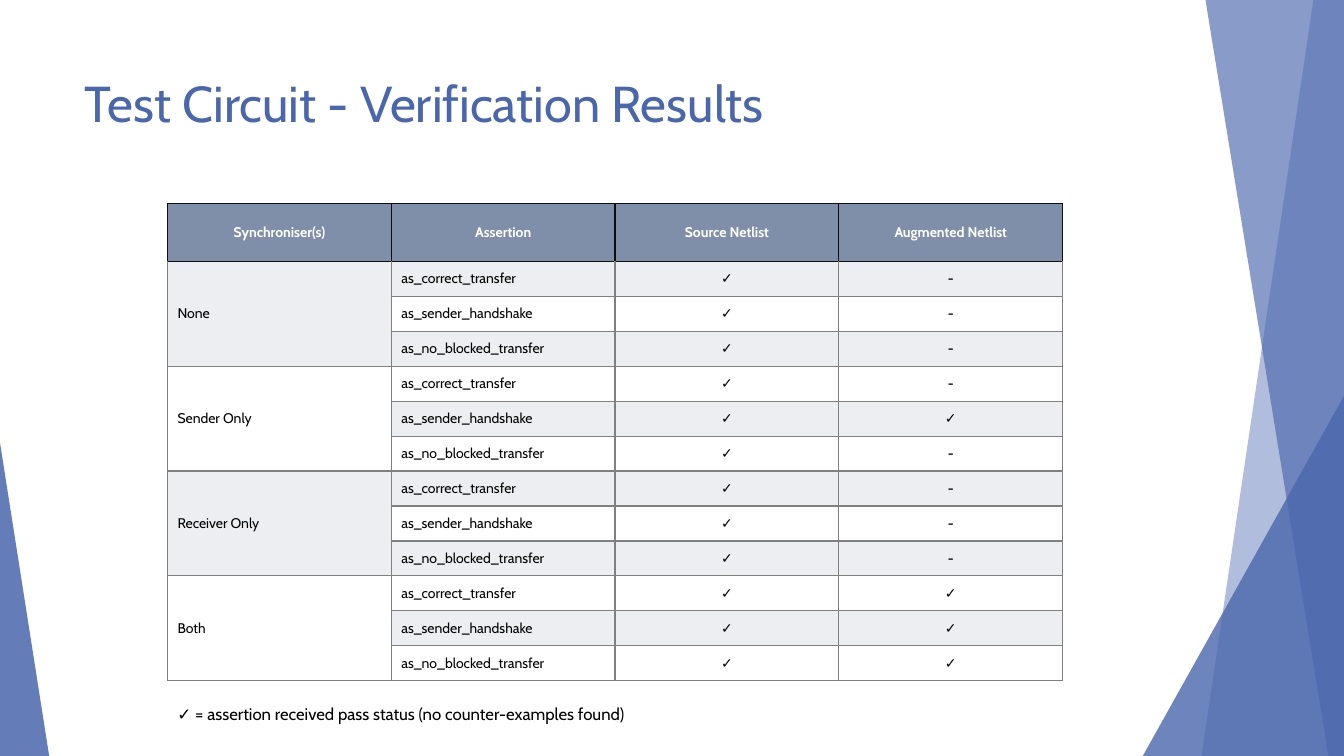
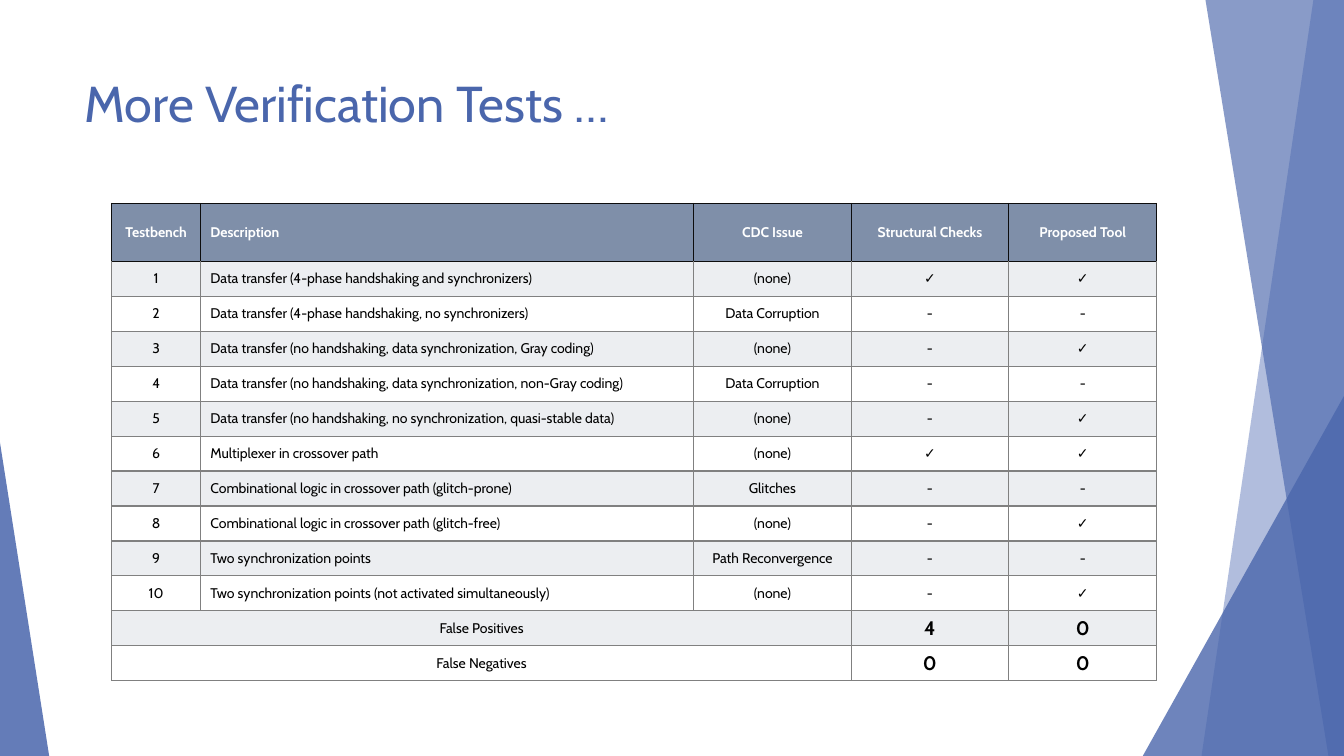
from dataclasses import dataclass

from lxml import etree
from pptx import Presentation
from pptx.dml.color import RGBColor
from pptx.enum.shapes import MSO_SHAPE
from pptx.enum.text import MSO_ANCHOR, PP_ALIGN
from pptx.oxml.ns import qn
from pptx.util import Cm, Pt

TRIANGLE = MSO_SHAPE.ISOSCELES_TRIANGLE
LEFT, CENTER = PP_ALIGN.LEFT, PP_ALIGN.CENTER
MIDDLE, TOP = MSO_ANCHOR.MIDDLE, MSO_ANCHOR.TOP


@dataclass(frozen=True)
class Theme:
    font: str = "Cabin"
    accent: str = "4A66AC"
    accent_light: str = "90A2CF"
    header: str = "7F8FA9"
    header_line: str = "0D0D0D"
    grid_line: str = "808080"
    band: str = "ECEEF1"
    white: str = "FFFFFF"
    ink: str = "000000"
    title_size: int = 36
    total_size: int = 14
    note_size: int = 12
    cell_size: int = 10


@dataclass(frozen=True)
class Box:
    left: float
    top: float
    width: float
    height: float

    def lengths(self):
        return Cm(self.left), Cm(self.top), Cm(self.width), Cm(self.height)


THEME = Theme()
PAGE = Box(0, 0, 33.87, 19.05)
TITLE_BOX = Box(1.88, 1.7, 27.25, 3.66)
TABLE_TOP, HEADER_HEIGHT, ROW_HEIGHT = 5.13, 1.46, 0.88
PASS, FAIL = "✓", "-"

ASSERTIONS = ("as_correct_transfer", "as_sender_handshake", "as_no_blocked_transfer")
# Marks of the augmented netlist, one for each assertion
SYNCHRONISERS = {
    "None": (FAIL, FAIL, FAIL),
    "Sender Only": (FAIL, PASS, FAIL),
    "Receiver Only": (FAIL, FAIL, FAIL),
    "Both": (PASS, PASS, PASS),
}
# Description, issue, structural checks, proposed tool
TESTBENCHES = [
    ("Data transfer (4-phase handshaking and synchronizers)", "(none)", PASS, PASS),
    ("Data transfer (4-phase handshaking, no synchronizers)", "Data Corruption", FAIL, FAIL),
    ("Data transfer (no handshaking, data synchronization, Gray coding)", "(none)", FAIL, PASS),
    ("Data transfer (no handshaking, data synchronization, non-Gray coding)",
     "Data Corruption", FAIL, FAIL),
    ("Data transfer (no handshaking, no synchronization, quasi-stable data)",
     "(none)", FAIL, PASS),
    ("Multiplexer in crossover path", "(none)", PASS, PASS),
    ("Combinational logic in crossover path (glitch-prone)", "Glitches", FAIL, FAIL),
    ("Combinational logic in crossover path (glitch-free)", "(none)", FAIL, PASS),
    ("Two synchronization points", "Path Reconvergence", FAIL, FAIL),
    ("Two synchronization points (not activated simultaneously)", "(none)", FAIL, PASS),
]
TOTALS = [("False Positives", "", "", "4", "0"), ("False Negatives", "", "", "0", "0")]


def add_text(para, text, size, color=THEME.ink, bold=False, align=LEFT):
    para.alignment = align
    span = para.add_run()
    span.text = text
    span.font.name = THEME.font
    span.font.size = Pt(size)
    span.font.bold = bold
    span.font.color.rgb = RGBColor.from_string(color)


def add_text_box(page, box):
    """Add an empty text box and return its first paragraph."""
    frame = page.shapes.add_textbox(*box.lengths()).text_frame
    frame.word_wrap = True
    frame.vertical_anchor = TOP
    return frame.paragraphs[0]


def paint(shape, color, opacity):
    shape.shadow.inherit = False
    shape.line.fill.background()
    shape.fill.solid()
    shape.fill.fore_color.rgb = RGBColor.from_string(color)
    color_node = shape.fill._xPr.find(".//" + qn("a:srgbClr"))
    etree.SubElement(color_node, qn("a:alpha"), val=str(opacity * 1000))


def add_side_panels(page, box):
    """Place the translucent panels at both edges of the box."""
    right, bottom = box.left + box.width, box.top + box.height

    # Slanted panels: distance of the upper and lower corner from the right edge
    for upper, lower, color, opacity in (
        (0.77, 3.59, THEME.accent_light, 70),
        (3.49, 0.39, THEME.accent, 65),
    ):
        corners = [(right, box.top), (right, bottom), (right - lower, bottom)]
        builder = page.shapes.build_freeform(Cm(right - upper), Cm(box.top))
        builder.add_line_segments([(Cm(x), Cm(y)) for x, y in corners], close=True)
        paint(builder.convert_to_shape(), color, opacity)

    # Corner triangles: the apex lies on the outer edge
    for left, width, height, apex, opacity in (
        (right - 5.07, 5.07, 9.07, 1, 80),
        (box.left, 1.24, 7.9, 0, 85),
    ):
        corner = Box(left, bottom - height, width, height)
        triangle = page.shapes.add_shape(TRIANGLE, *corner.lengths())
        triangle.adjustments[0] = apex
        paint(triangle, THEME.accent, opacity)


def set_borders(cell, color, top_color):
    properties = cell._tc.get_or_add_tcPr()
    for side in "LRTB":
        line = etree.SubElement(properties, qn("a:ln" + side), w=str(Pt(1)))
        fill = etree.SubElement(line, qn("a:solidFill"))
        etree.SubElement(fill, qn("a:srgbClr"), val=top_color if side == "T" else color)


def add_grid(page, left, widths, rows, aligns, bold_marks, total_rows=0):
    """Add a banded table whose first row is the header."""
    box = Box(left, TABLE_TOP, sum(widths), HEADER_HEIGHT + ROW_HEIGHT * (len(rows) - 1))
    table = page.shapes.add_table(len(rows), len(widths), *box.lengths()).table
    for column, width in zip(table.columns, widths):
        column.width = Cm(width)

    for r, values in enumerate(rows):
        is_header = r == 0
        is_total = r >= len(rows) - total_rows
        table.rows[r].height = Cm(HEADER_HEIGHT if is_header else ROW_HEIGHT)
        line = THEME.header_line if is_header else THEME.grid_line
        background = THEME.header if is_header else (THEME.white, THEME.band)[r % 2]

        for c, text in enumerate(values):
            cell = table.cell(r, c)
            cell.vertical_anchor = MIDDLE
            set_borders(cell, line, THEME.header_line if r <= 1 else line)
            cell.fill.solid()
            cell.fill.fore_color.rgb = RGBColor.from_string(background)
            if not text:
                continue
            is_sum = is_total and c > 0
            add_text(
                cell.text_frame.paragraphs[0], text,
                size=THEME.total_size if is_sum else THEME.cell_size,
                color=THEME.white if is_header else THEME.ink,
                bold=is_header or is_sum or text in bold_marks,
                align=CENTER if is_header and c == 0 else aligns[c],
            )
    return table


def add_page(deck, title):
    page = deck.slides.add_slide(deck.slide_layouts[6])
    add_side_panels(page, PAGE)
    add_text(add_text_box(page, TITLE_BOX), title, THEME.title_size, THEME.accent)
    return page


def add_results_page(deck):
    page = add_page(deck, "Test Circuit - Verification Results")
    left = 4.22

    # Results by synchroniser
    rows = [("Synchroniser(s)", "Assertion", "Source Netlist", "Augmented Netlist")]
    for name, marks in SYNCHRONISERS.items():
        for i, (assertion, mark) in enumerate(zip(ASSERTIONS, marks)):
            rows.append((name if i == 0 else "", assertion, PASS, mark))
    table = add_grid(page, left, [5.64] * 4, rows, (LEFT, LEFT, CENTER, CENTER), (PASS, FAIL))
    table.cell(0, 1).text_frame.paragraphs[0].alignment = CENTER
    group = len(ASSERTIONS)
    for first in range(1, len(rows), group):
        table.cell(first, 0).merge(table.cell(first + group - 1, 0))

    # Key to the marks
    note = add_text_box(page, Box(left, 17.6, 12.67, 1.27))
    add_text(note, PASS, THEME.note_size, bold=True)
    add_text(note, " = assertion received pass status (no counter-examples found)",
             THEME.note_size)


def add_tests_page(deck):
    page = add_page(deck, "More Verification Tests …")
    header = ("Testbench", "Description", "CDC Issue", "Structural Checks", "Proposed Tool")
    tests = [(str(number), *test) for number, test in enumerate(TESTBENCHES, 1)]
    rows = [header, *tests, *TOTALS]
    table = add_grid(page, 2.82, (2.23, 12.43, 3.97, 3.97, 3.73), rows,
                     (CENTER, LEFT, CENTER, CENTER, CENTER), (PASS,), len(TOTALS))
    for r in range(len(rows) - len(TOTALS), len(rows)):
        table.cell(r, 0).merge(table.cell(r, 2))


def main():
    deck = Presentation()
    deck.slide_width, deck.slide_height = Cm(PAGE.width), Cm(PAGE.height)
    add_results_page(deck)
    add_tests_page(deck)
    deck.save("out.pptx")


if __name__ == "__main__":
    main()
